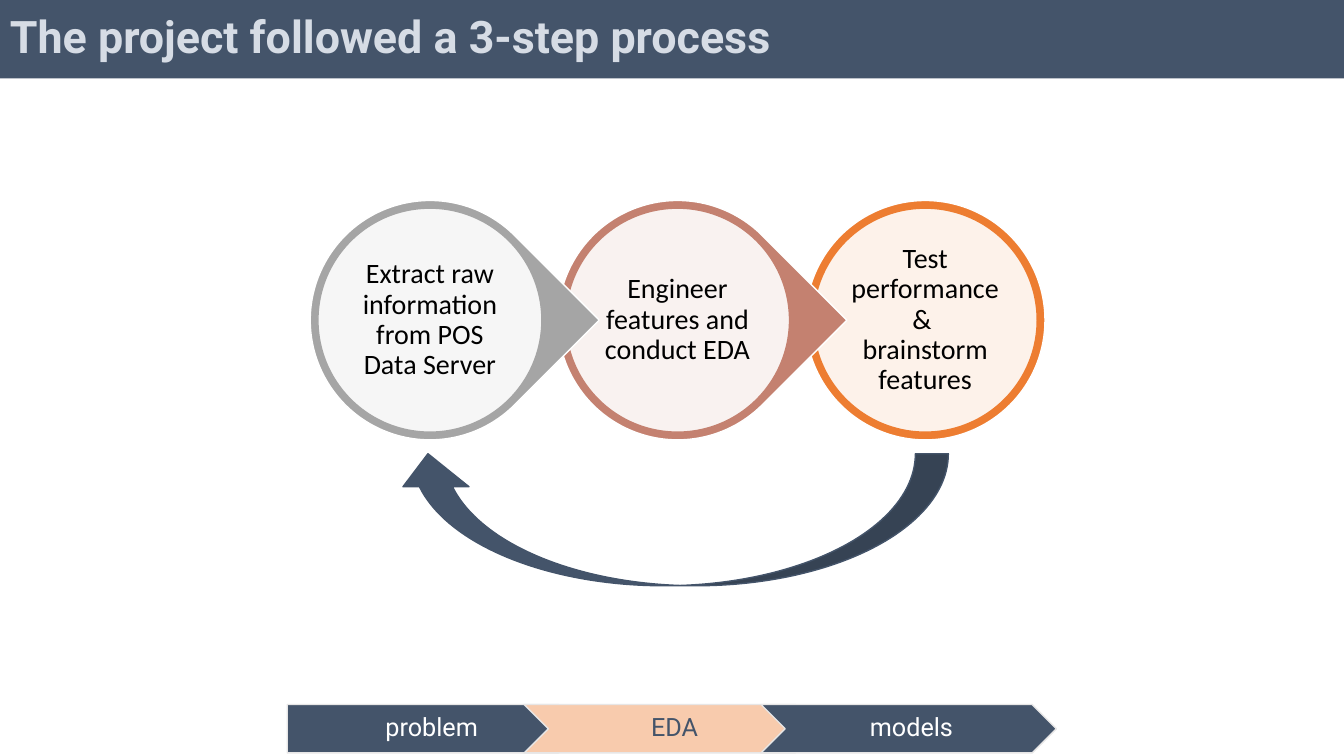
import pptx
import pptx.dml.color
import pptx.enum.shapes
import pptx.enum.text
import pptx.oxml.ns
import pptx.util
import lxml.etree

Pt = pptx.util.Pt
KIND = pptx.enum.shapes.MSO_SHAPE
ALIGN = pptx.enum.text.PP_ALIGN
NAVY = "44546A"
WHITE = "FFFFFF"
PEACH = "F8CBAD"
SILVER = "E7E6E6"

STEPS = [
    ("Extract raw information from POS Data Server", "A5A5A5", KIND.TEAR),
    ("Engineer features and conduct EDA", "C48170", KIND.TEAR),
    ("Test performance & \vbrainstorm features", "ED7D31", KIND.OVAL),
]
STAGES = [
    ("problem", KIND.PENTAGON, NAVY, WHITE),
    ("EDA", KIND.CHEVRON, PEACH, NAVY),
    ("models", KIND.CHEVRON, NAVY, WHITE),
]


def tint(code):
    return pptx.dml.color.RGBColor.from_string(code)


def draw(slide, kind, box, fill, line=None, alpha=None, turn=0):
    shape = slide.shapes.add_shape(kind, *[Pt(n) for n in box])
    shape.shadow.inherit = False
    shape.rotation = turn
    shape.fill.solid()
    shape.fill.fore_color.rgb = tint(fill)
    if alpha:
        color = shape._element.spPr.find(
            pptx.oxml.ns.qn("a:solidFill") + "/" + pptx.oxml.ns.qn("a:srgbClr"))
        mark = lxml.etree.SubElement(color, pptx.oxml.ns.qn("a:alpha"))
        mark.set("val", str(alpha * 1000))
    if line:
        shape.line.color.rgb = tint(line)
        shape.line.width = Pt(1)
    else:
        shape.line.fill.background()
    return shape


def write(shape, text, color=WHITE, size=18, font="Roboto", bold=False,
          align=ALIGN.CENTER, pad=(2, 2, 2, 2)):
    frame = shape.text_frame
    frame.word_wrap = True
    frame.vertical_anchor = pptx.enum.text.MSO_ANCHOR.MIDDLE
    frame.margin_left, frame.margin_top, frame.margin_right, frame.margin_bottom = [
        Pt(n) for n in pad]
    para = frame.paragraphs[0]
    para.text = text
    para.alignment = align
    para.line_spacing = 0.9
    for run in para.runs:
        run.font.size = Pt(size)
        run.font.name = font
        run.font.bold = bold
        run.font.color.rgb = tint(color)


def head(slide, box):
    bar = draw(slide, KIND.RECTANGLE, box, NAVY)
    write(bar, "The project followed a 3-step process", color="D6DCE5",
          size=32, bold=True, align=ALIGN.LEFT, pad=(7.2, 3.6, 7.2, 3.6))


def cycle(slide, box):
    left, top, width, height = box
    outer, inner = 171, 160
    gap = (outer - inner) / 2
    pitch = (width - outer) / (len(STEPS) - 1)
    for spot, (text, color, kind) in reversed(list(enumerate(STEPS))):
        x = left + spot * pitch
        turn = 45 if kind == KIND.TEAR else 0
        draw(slide, kind, (x, top, outer, outer), color, WHITE, turn=turn)
        disc = draw(slide, KIND.OVAL, (x + gap, top + gap, inner, inner),
                    WHITE, color, alpha=90)
        write(disc, text, color="000000", size=20, font="Calibri")
    draw(slide, KIND.CURVED_DOWN_ARROW,
         (left + 60.5, top + height - 94.3, 395.3, 94.3), NAVY, NAVY, turn=180)


def track(slide, box):
    left, top, width, height = box
    size = 211
    pitch = (width - size) / (len(STAGES) - 1)
    for spot, (text, kind, fill, color) in enumerate(STAGES):
        part = draw(slide, kind, (left + spot * pitch, top, size, height), fill, SILVER)
        write(part, text, color=color, pad=(6, 3.6, 2, 3.6))


def main():
    deck = pptx.Presentation()
    deck.slide_width = Pt(960)
    deck.slide_height = Pt(540)
    slide = deck.slides.add_slide(deck.slide_layouts[6])
    head(slide, (0, 0, 960, 56))
    cycle(slide, (221.6, 143.2, 524.8, 275.2))
    track(slide, (205.2, 503.2, 549.4, 34.6))
    deck.save("out.pptx")


if __name__ == "__main__":
    main()
